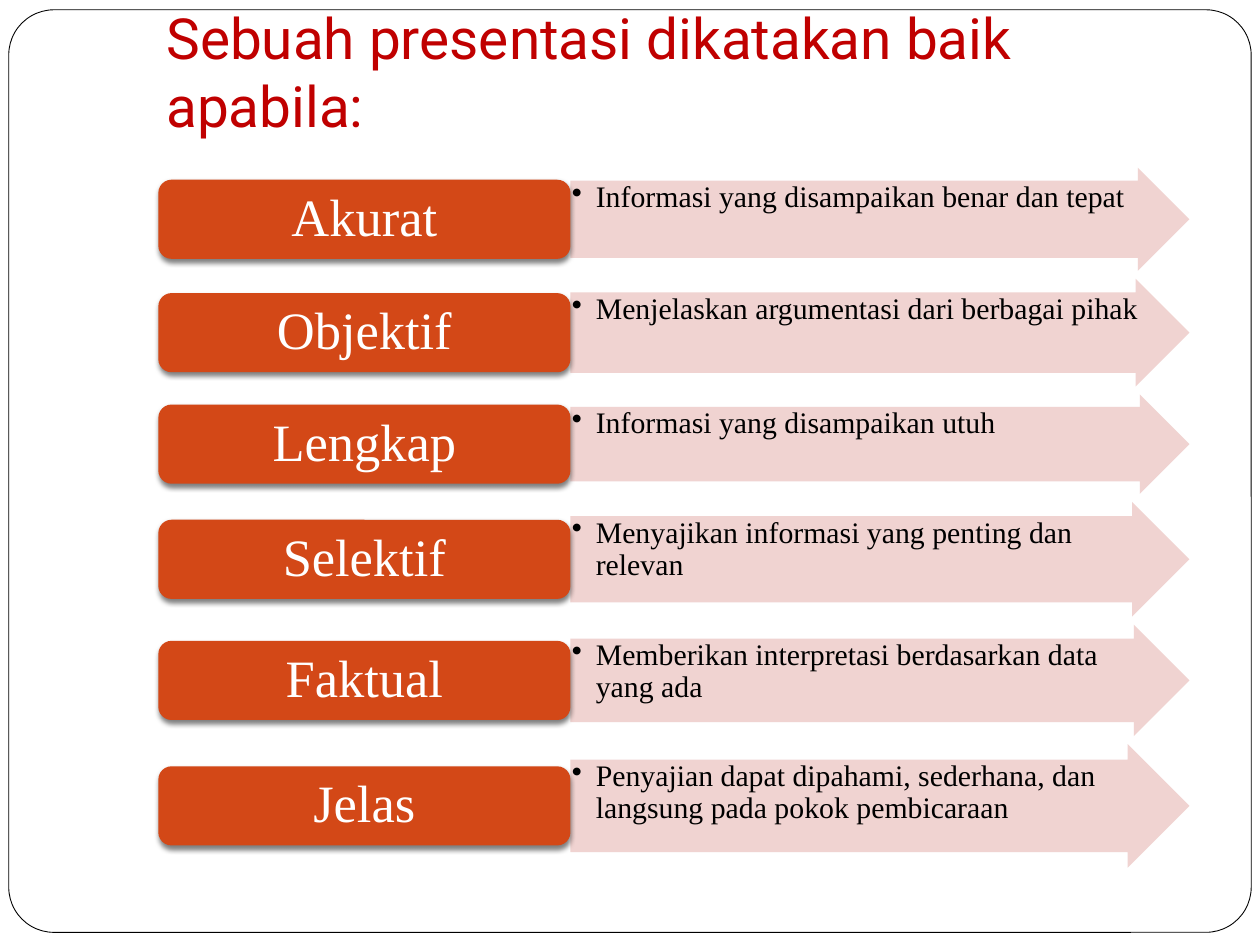
from pptx import Presentation
from pptx.dml.color import RGBColor
from pptx.enum import shapes, text
from pptx.oxml import ns, xmlchemy
from pptx.util import Pt

TITLE = "Sebuah presentasi dikatakan baik apabila:"
# Quality, explanation, arrow height
QUALITIES = [
    ("Akurat", "Informasi yang disampaikan benar dan tepat", 59),
    ("Objektif", "Menjelaskan argumentasi dari berbagai pihak", 61.4),
    ("Lengkap", "Informasi yang disampaikan utuh", 56.8),
    ("Selektif", "Menyajikan informasi yang penting dan relevan", 65.6),
    ("Faktual", "Memberikan interpretasi berdasarkan data yang ada", 63.6),
    ("Jelas", "Penyajian dapat dipahami, sederhana, dan langsung pada "
              "pokok pembicaraan", 70.6),
]

WHITE = RGBColor(0xFF, 0xFF, 0xFF)
BLACK = RGBColor(0, 0, 0)
RED = RGBColor(0xC0, 0, 0)
ORANGE = RGBColor(0xD3, 0x48, 0x17)
PINK = RGBColor(0xEF, 0xCF, 0xCC)

SERIF = "Times New Roman"
LABEL_LEFT, LABEL_WIDTH, LABEL_HEIGHT = 90.5, 235.5, 45.2
ARROW_LEFT, ARROW_WIDTH = LABEL_LEFT + LABEL_WIDTH, 353.7
FIRST_TOP, GAP = 95.8, 4.6
BULLET_INDENT = 13.7


def add_child(parent, tag, **attributes):
    """Append an XML element with the given attributes."""
    child = xmlchemy.OxmlElement(tag)
    for name, value in attributes.items():
        child.set(name, str(value))
    parent.append(child)
    return child


def add_panel(page, kind, left, top, width, height, fill):
    """Add a filled shape without outline or shadow."""
    panel = page.shapes.add_shape(kind, Pt(left), Pt(top), Pt(width), Pt(height))
    panel.fill.solid()
    panel.fill.fore_color.rgb = fill
    panel.line.fill.background()
    panel.shadow.inherit = False
    return panel


def write(box, words, font, size, color, anchor, align, margins):
    """Write one paragraph; margins run left, top, right, bottom."""
    frame = box.text_frame
    frame.word_wrap = True
    frame.vertical_anchor = anchor
    (frame.margin_left, frame.margin_top,
     frame.margin_right, frame.margin_bottom) = [Pt(m) for m in margins]
    para = frame.paragraphs[0]
    para.text = words
    para.alignment = align
    para.font.name = font
    para.font.size = Pt(size)
    para.font.color.rgb = color
    return para


def add_arrow(page, top, height, words):
    """Add a translucent arrow holding one bulleted explanation."""
    arrow = add_panel(page, shapes.MSO_SHAPE.RIGHT_ARROW,
                      ARROW_LEFT, top, ARROW_WIDTH, height, PINK)
    arrow.adjustments[0] = 0.75
    arrow.adjustments[1] = 0.5
    color = arrow.element.spPr.find(".//" + ns.qn("a:srgbClr"))
    add_child(color, "a:alpha", val=90000)
    para = write(arrow, words, SERIF, 17, BLACK, text.MSO_ANCHOR.TOP,
                 text.PP_ALIGN.LEFT, [0.8] * 4)
    para.line_spacing = 0.9
    properties = para._p.get_or_add_pPr()
    properties.set("marL", str(Pt(BULLET_INDENT)))
    properties.set("indent", str(-Pt(BULLET_INDENT)))
    add_child(properties, "a:buChar", char="•")


def add_label(page, middle, words):
    """Add a shadowed label centred on the given height."""
    label = add_panel(page, shapes.MSO_SHAPE.ROUNDED_RECTANGLE, LABEL_LEFT,
                      middle - LABEL_HEIGHT / 2, LABEL_WIDTH, LABEL_HEIGHT, ORANGE)
    effects = label.element.spPr.find(ns.qn("a:effectLst"))
    shadow = add_child(effects, "a:outerShdw", blurRad=Pt(3), dist=Pt(2),
                       dir=90 * 60000, rotWithShape=0)
    add_child(add_child(shadow, "a:srgbClr", val="000000"), "a:alpha", val=50000)
    para = write(label, words, SERIF, 30, WHITE, text.MSO_ANCHOR.MIDDLE,
                 text.PP_ALIGN.CENTER, [9, 4.5, 9, 4.5])
    para.line_spacing = 0.9


deck = Presentation()
deck.slide_width, deck.slide_height = Pt(720), Pt(540)
page = deck.slides.add_slide(deck.slide_layouts[6])

border = add_panel(page, shapes.MSO_SHAPE.ROUNDED_RECTANGLE,
                   5, 5.6, 710, 527.2, WHITE)
border.adjustments[0] = 0.049
border.line.color.rgb = BLACK
border.line.width = Pt(0.5)

title = page.shapes.add_textbox(Pt(88), Pt(28), Pt(510.5), Pt(58.4))
write(title, TITLE, "Roboto", 32.4, RED, text.MSO_ANCHOR.BOTTOM,
      text.PP_ALIGN.LEFT, [7.2, 3.6, 7.2, 7.2])

top = FIRST_TOP
for quality, explanation, height in QUALITIES:
    add_arrow(page, top, height, explanation)
    add_label(page, top + height / 2, quality)
    top += height + GAP

deck.save("out.pptx")
